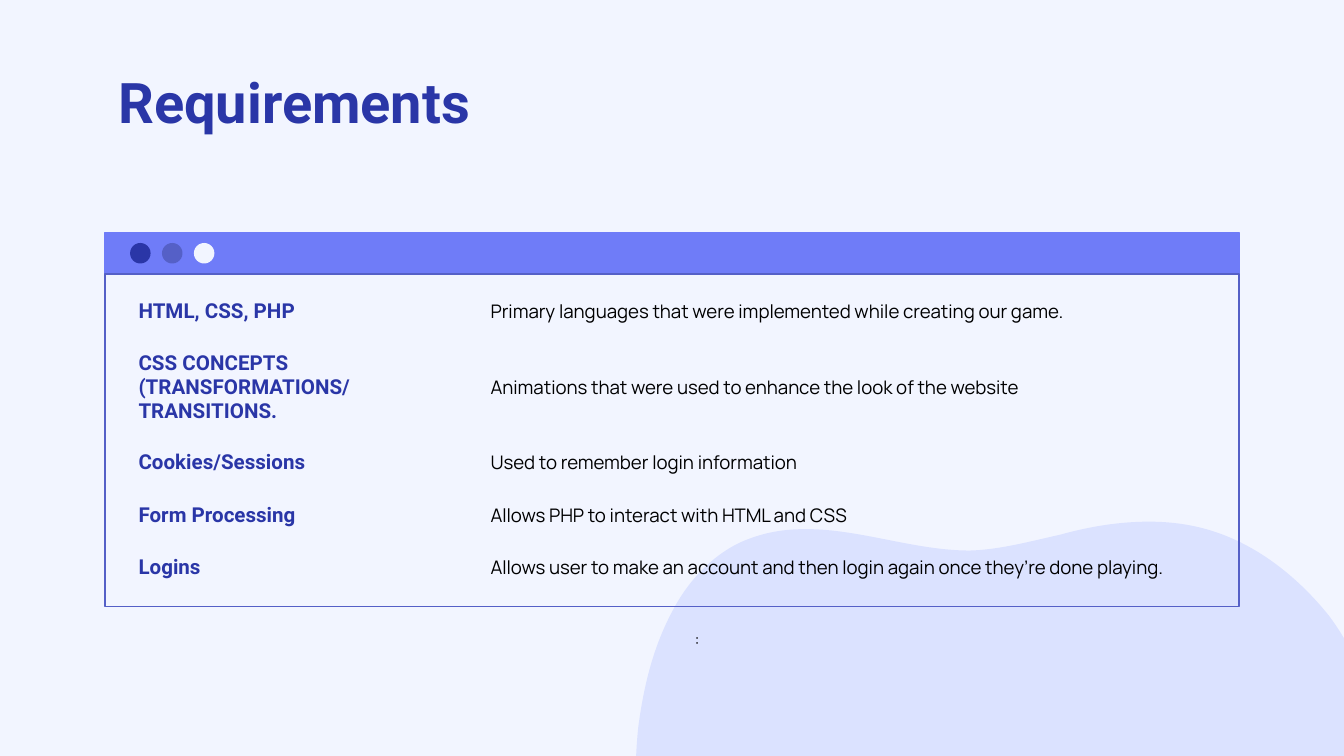
from pptx import Presentation
from pptx.dml.color import RGBColor as Rgb
from pptx.enum.shapes import MSO_SHAPE as Kind
from pptx.enum.text import MSO_ANCHOR as Anchor, PP_ALIGN as Align
from pptx.oxml import parse_xml as to_xml
from pptx.oxml.ns import nsdecls, qn
from pptx.util import Pt

HUES = {"page": "F2F5FF", "blob": "DBE2FF", "bar": "6F7CF8",
        "edge": "5560C7", "deep": "2A36A7", "ink": "000000"}
TITLE = "Requirements"
ROWS = [
    ("HTML, CSS, PHP",
     "Primary languages that were implemented while creating our game."),
    ("CSS CONCEPTS (TRANSFORMATIONS/ TRANSITIONS.",
     "Animations that were used to enhance the look of the website"),
    ("Cookies/Sessions", "Used to remember login information"),
    ("Form Processing", "Allows PHP to interact with HTML and CSS"),
    ("Logins",
     "Allows user to make an account and then login again once they’re done playing."),
]
NOTE = ":"
DOTS = ["deep", "edge", "page"]
START = (539, 625)
CURVES = [
    ((526, 625), (515, 624), (503, 622)),
    ((479, 617), (456, 608), (436, 595)),
    ((424, 589), (414, 581), (404, 572)),
    ((401, 569), (398, 566), (396, 564)),
    ((384, 552), (374, 538), (366, 523)),
    ((345, 484), (337, 435), (342, 389)),
    ((345, 367), (350, 346), (361, 326)),
    ((369, 311), (382, 297), (398, 290)),
    ((410, 285), (420, 283.5), (432, 283.5)),
    ((461, 283.5), (490, 295), (519.5, 295)),
    ((536, 294.5), (552, 290), (568, 286.5)),
    ((584, 282), (600, 279.5), (615.5, 279.5)),
    ((627, 279.5), (639, 281), (651, 285)),
    ((675, 293), (696, 310), (712, 330)),
    ((751, 382), (747, 459), (718.5, 515)),
    ((685, 582.5), (613, 625), START),
]
LEFT, WIDE = 56.2, 607.7
BAR_TOP, BAR_HIGH, BODY_HIGH = 124.6, 22.2, 178
DOT, DOT_LEFT, DOT_STEP = 11, 69.7, 17.1
COLS = [188.6, 397.4]
ROW_HIGH = 27.4
NO_GRID = "{2D5ABB26-0587-4C30-8999-92F81FD0307C}"


def hue(name):
    """Return the named colour."""
    return Rgb.from_string(HUES[name])


def paint(shape, fill=None, line=None):
    """Set fill and outline, and drop the shadow."""
    shape.shadow.inherit = False
    if fill:
        shape.fill.solid()
        shape.fill.fore_color.rgb = hue(fill)
    else:
        shape.fill.background()
    if line:
        shape.line.color.rgb = hue(line)
        shape.line.width = Pt(0.75)
    else:
        shape.line.fill.background()


def add(home, kind, box, fill=None, line=None):
    """Add a painted preset shape."""
    paint(home.add_shape(kind, *map(Pt, box)), fill, line)


def write(frame, text, size, face, color, bold=False):
    """Fill a text frame with one left-aligned paragraph."""
    frame.text = text
    para = frame.paragraphs[0]
    para.alignment = Align.LEFT
    font = para.font
    font.size, font.name, font.bold = Pt(size), face, bold
    font.color.rgb = hue(color)
    return para


def inset(frame):
    """Wrap text and keep only the side margins."""
    frame.word_wrap = True
    frame.margin_left = frame.margin_right = Pt(7.2)
    frame.margin_top = frame.margin_bottom = 0


def bend(shape):
    """Turn each three line segments of an outline into one curve."""
    lines = list(shape._element.iter(qn("a:lnTo")))
    for i in range(0, len(lines), 3):
        curve = to_xml(f"<a:cubicBezTo {nsdecls('a')}/>")
        lines[i].addprevious(curve)
        for line in lines[i:i + 3]:
            curve.append(line[0])
            line.getparent().remove(line)


def add_blob(shapes):
    """Draw the soft shape at the lower right."""
    pen = shapes.build_freeform(*map(Pt, START))
    dots = [(Pt(x), Pt(y)) for curve in CURVES for x, y in curve]
    pen.add_line_segments(dots, close=True)
    blob = pen.convert_to_shape()
    bend(blob)
    paint(blob, "blob")


def add_window(shapes):
    """Draw the window bar, its dots and its frame."""
    group = shapes.add_group_shape().shapes
    add(group, Kind.RECTANGLE, (LEFT, BAR_TOP, WIDE, BAR_HIGH), "bar", "bar")
    top = BAR_TOP + (BAR_HIGH - DOT) / 2
    for i, name in enumerate(DOTS):
        add(group, Kind.OVAL, (DOT_LEFT + i * DOT_STEP, top, DOT, DOT), name)
    add(shapes, Kind.RECTANGLE,
        (LEFT, BAR_TOP + BAR_HIGH, WIDE, BODY_HIGH), line="edge")


def add_rows(shapes):
    """Add the table of requirements."""
    box = (67, 153, sum(COLS), ROW_HIGH * len(ROWS))
    table = shapes.add_table(len(ROWS), len(COLS), *map(Pt, box)).table
    table.first_row = table.horz_banding = False
    table._tbl.tblPr[0].text = NO_GRID
    for col, wide in zip(table.columns, COLS):
        col.width = Pt(wide)
    styles = [(11, "Roboto", "deep", True), (10, "Manrope", "ink", False)]
    for row, texts in zip(table.rows, ROWS):
        row.height = Pt(ROW_HIGH)
        for cell, text, style in zip(row.cells, texts, styles):
            cell.fill.background()
            cell.vertical_anchor = Anchor.MIDDLE
            cell.margin_left = cell.margin_right = Pt(7.2)
            cell.margin_top = cell.margin_bottom = Pt(7.2)
            write(cell.text_frame, text, *style)


def main():
    """Build the slide and save it."""
    deck = Presentation()
    deck.slide_width, deck.slide_height = Pt(720), Pt(405)
    slide = deck.slides.add_slide(deck.slide_layouts[5])
    slide.background.fill.solid()
    slide.background.fill.fore_color.rgb = hue("page")
    shapes = slide.shapes

    title = shapes.title
    title.left, title.top, title.width, title.height = map(
        Pt, (LEFT, 36, WIDE, 45.4))
    frame = title.text_frame
    inset(frame)
    frame.margin_bottom = Pt(4.2)
    frame.vertical_anchor = Anchor.MIDDLE
    para = write(frame, TITLE, 30, "Roboto", "deep", True)
    para.line_spacing = 0.9

    add_blob(shapes)
    add_window(shapes)
    add_rows(shapes)
    note = shapes.add_textbox(*map(Pt, (365, 337, 265, 25))).text_frame
    inset(note)
    write(note, NOTE, 9, "Manrope", "ink")
    deck.save("out.pptx")


if __name__ == "__main__":
    main()
